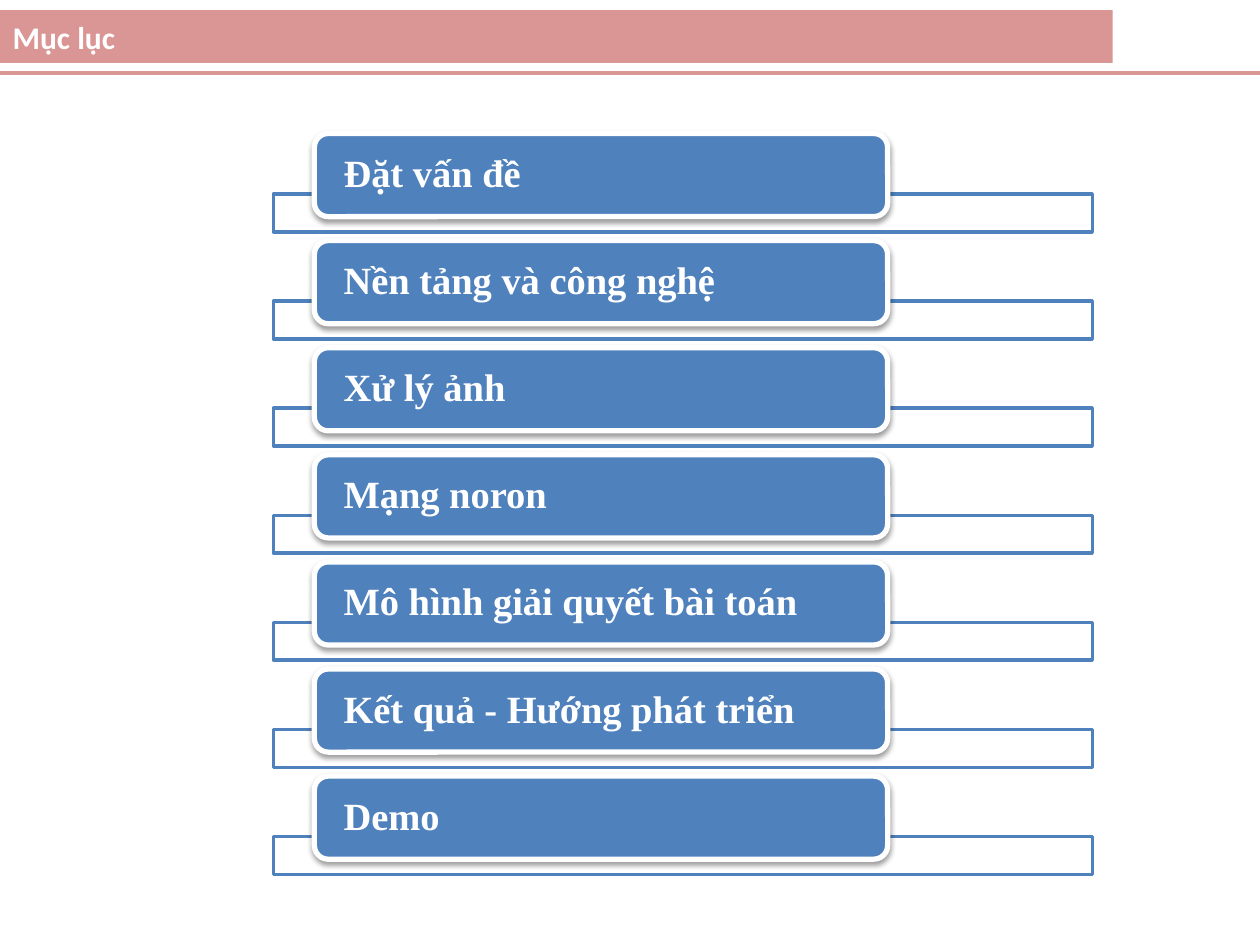
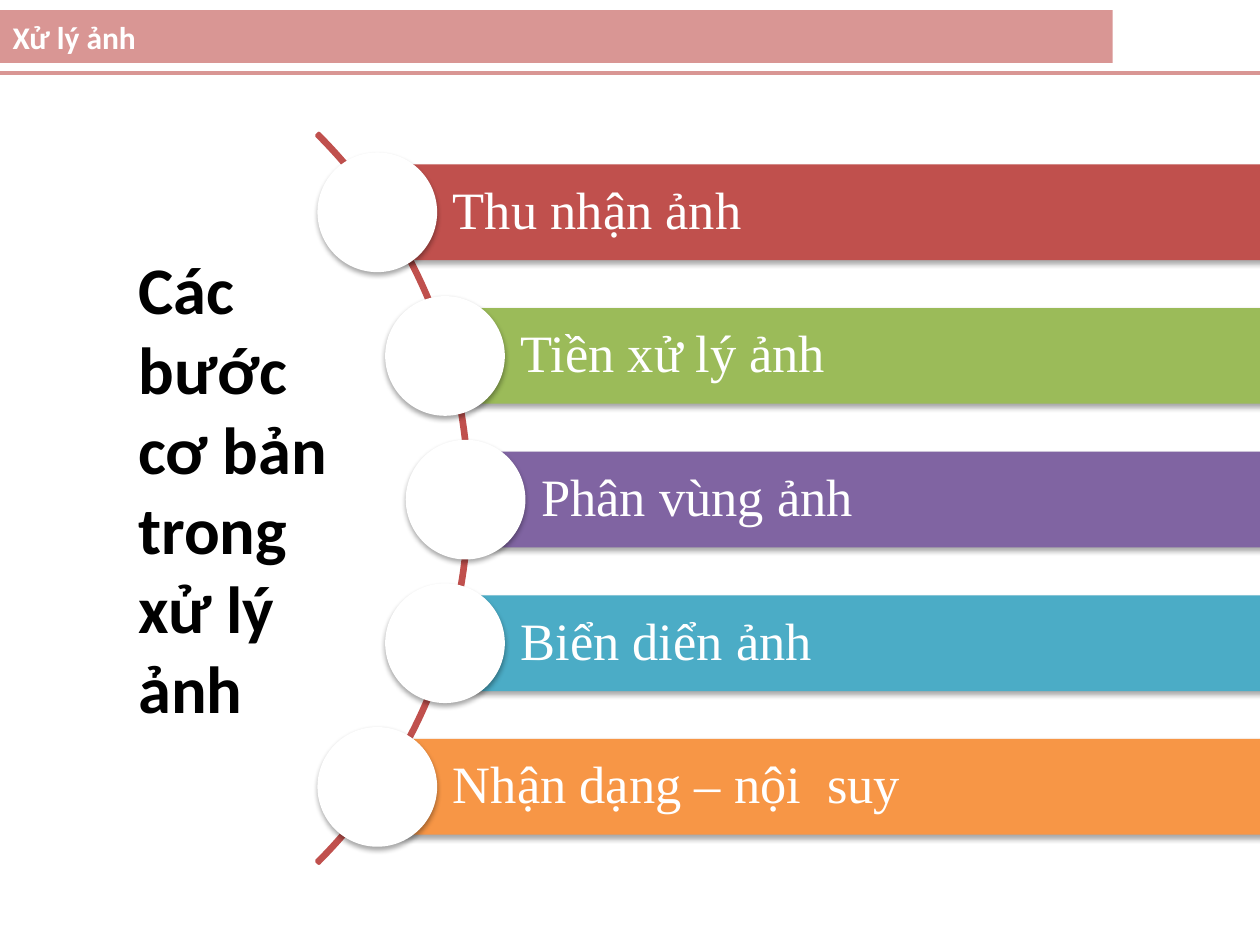
from math import sqrt

from lxml.etree import SubElement
from pptx import Presentation
from pptx.dml.color import RGBColor
from pptx.enum.shapes import MSO_CONNECTOR, MSO_SHAPE
from pptx.enum.text import MSO_ANCHOR, MSO_AUTO_SIZE, PP_ALIGN
from pptx.oxml.ns import qn
from pptx.util import Inches, Pt

SLIDE_WIDTH, SLIDE_HEIGHT = 10, 7.5
BAND, WHITE, BLACK, BLUE, RED = "D99694", "FFFFFF", "000000", "4F81BD", "C0504D"
HEADING_FONT, ITEM_FONT = "Calibri", "Times New Roman"

CONTENTS = [
    "Đặt vấn đề",
    "Nền tảng và công nghệ",
    "Xử lý ảnh",
    "Mạng noron",
    "Mô hình giải quyết bài toán",
    "Kết quả - Hướng phát triển",
    "Demo",
]
STEPS = [
    ("Thu nhận ảnh", RED),
    ("Tiền xử lý ảnh", "9BBB59"),
    ("Phân vùng ảnh", "8064A2"),
    ("Biển diển ảnh", "4BACC6"),
    ("Nhận dạng – nội  suy", "F79646"),
]


def rgb(color):
    return RGBColor.from_string(color)


def add_alpha(color_element, percent):
    SubElement(color_element, qn("a:alpha"), val=str(percent * 1000))


def add_shadow(shape, opacity, distance):
    """Add a soft black shadow that falls straight down."""
    effects = shape._element.spPr.find(qn("a:effectLst"))
    shadow = SubElement(effects, qn("a:outerShdw"), blurRad=str(Pt(3.1)),
                        dist=str(Pt(distance)), dir="5400000", rotWithShape="0")
    add_alpha(SubElement(shadow, qn("a:srgbClr"), val=BLACK), opacity)


def add_box(slide, kind, box, fill=None, line=None, line_width=0):
    shape = slide.shapes.add_shape(kind, *map(Inches, box))
    shape.shadow.inherit = False
    if fill:
        shape.fill.solid()
        shape.fill.fore_color.rgb = rgb(fill)
    else:
        shape.fill.background()
    if line:
        shape.line.color.rgb = rgb(line)
        shape.line.width = Pt(line_width)
    else:
        shape.line.fill.background()
    return shape


def write(shape, text, font, size, color, bold=False, spacing=None,
          anchor=MSO_ANCHOR.MIDDLE, margins=(0.1, 0.05, 0.1, 0.05)):
    """Put one left-aligned paragraph in the shape; margins run left, top, right, bottom."""
    frame = shape.text_frame
    frame.text = text
    frame.word_wrap = True
    frame.auto_size = MSO_AUTO_SIZE.NONE
    frame.vertical_anchor = anchor
    (frame.margin_left, frame.margin_top,
     frame.margin_right, frame.margin_bottom) = map(Inches, margins)
    paragraph = frame.paragraphs[0]
    paragraph.alignment = PP_ALIGN.LEFT
    if spacing:
        paragraph.line_spacing = spacing
    run_font = paragraph.runs[0].font
    run_font.name, run_font.size, run_font.bold = font, Pt(size), bold
    run_font.color.rgb = rgb(color)


def add_titled_slide(presentation, text):
    """Add a slide with the title band and the rule below it."""
    slide = presentation.slides.add_slide(presentation.slide_layouts[5])
    title = slide.shapes.title
    title.left, title.top, title.width, title.height = map(Inches, (0, 0.08, 8.83, 0.42))
    title.fill.solid()
    title.fill.fore_color.rgb = rgb(BAND)
    write(title, text, HEADING_FONT, 18, WHITE, bold=True)
    rule = slide.shapes.add_connector(MSO_CONNECTOR.STRAIGHT, 0, Inches(0.58),
                                      Inches(SLIDE_WIDTH), Inches(0.58))
    rule.line.color.rgb = rgb(BAND)
    rule.line.width = Pt(2.75)
    SubElement(rule._element.spPr, qn("a:effectLst"))
    return slide


def add_contents_list(slide, box, items):
    """Stack one outlined strip with a rounded tab per item."""
    left, top, width, height = box
    tab_height, strip_offset, strip_height = 0.66, 0.48, 0.3
    pitch = (height - strip_offset - strip_height) / (len(items) - 1)
    for index, item in enumerate(items):
        tab_top = top + index * pitch
        strip = add_box(slide, MSO_SHAPE.RECTANGLE,
                        (left, tab_top + strip_offset, width, strip_height),
                        WHITE, BLUE, 2)
        add_alpha(strip._element.spPr.find(qn("a:solidFill"))[0], 90)
        tab = add_box(slide, MSO_SHAPE.ROUNDED_RECTANGLE,
                      (left + 0.05 * width, tab_top, 0.7 * width, tab_height),
                      BLUE, WHITE, 3)
        add_shadow(tab, 38, 1.6)
        write(tab, item, ITEM_FONT, 22, WHITE, bold=True, spacing=0.9,
              margins=(0.2, 0.03, 0.2, 0.03))


def add_step_arc(slide, box, steps):
    """Draw the right-hand arc of the circle in the box, with a bar and a disc per step."""
    left, top, size, _ = box
    center_x, center_y = left + size / 2, top + size / 2
    arc = add_box(slide, MSO_SHAPE.BLOCK_ARC, box, line=RED, line_width=2)
    for index, value in enumerate((189, 27, 0.003)):
        arc.adjustments[index] = value

    radius, pitch, bar_height, bar_right, disc = 4.06, 1.14, 0.76, 10.33, 0.95
    for index, (label, color) in enumerate(steps):
        rise = (index - (len(steps) - 1) / 2) * pitch
        x, y = center_x + sqrt(radius ** 2 - rise ** 2), center_y + rise + 0.01
        bar = add_box(slide, MSO_SHAPE.RECTANGLE,
                      (x, y - bar_height / 2, bar_right - x, bar_height), color)
        write(bar, label, ITEM_FONT, 30, WHITE, spacing=0.9,
              margins=(0.6, 0.08, 0.08, 0.08))
        circle = add_box(slide, MSO_SHAPE.OVAL,
                         (x - disc / 2, y - disc / 2, disc, disc), WHITE)
        for shape in (bar, circle):
            add_shadow(shape, 35, 1.8)


def add_side_heading(slide, box, text):
    heading = slide.shapes.add_textbox(*map(Inches, box))
    write(heading, text, HEADING_FONT, 38, BLACK, bold=True, anchor=MSO_ANCHOR.TOP)


def main():
    presentation = Presentation()
    presentation.slide_width = Inches(SLIDE_WIDTH)
    presentation.slide_height = Inches(SLIDE_HEIGHT)

    contents_slide = add_titled_slide(presentation, "Mục lục")
    add_contents_list(contents_slide, (2.17, 1.06, 6.5, 5.88), CONTENTS)

    steps_slide = add_titled_slide(presentation, "Xử lý ảnh")
    add_step_arc(steps_slide, (-4.46, -0.14, 8.19, 8.19), STEPS)
    add_side_heading(steps_slide, (1, 1.92, 1.83, 3.94), "Các bước cơ bản trong xử lý ảnh")

    presentation.save("out.pptx")


if __name__ == "__main__":
    main()
